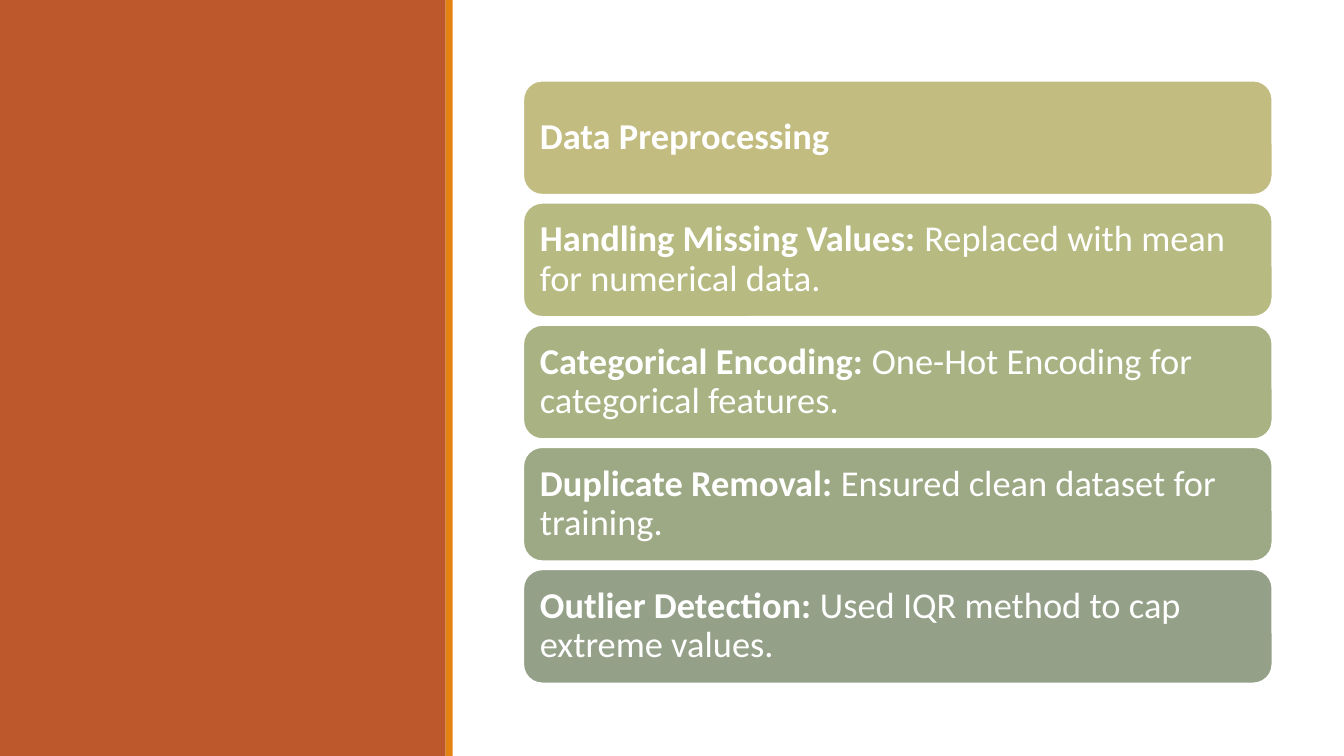
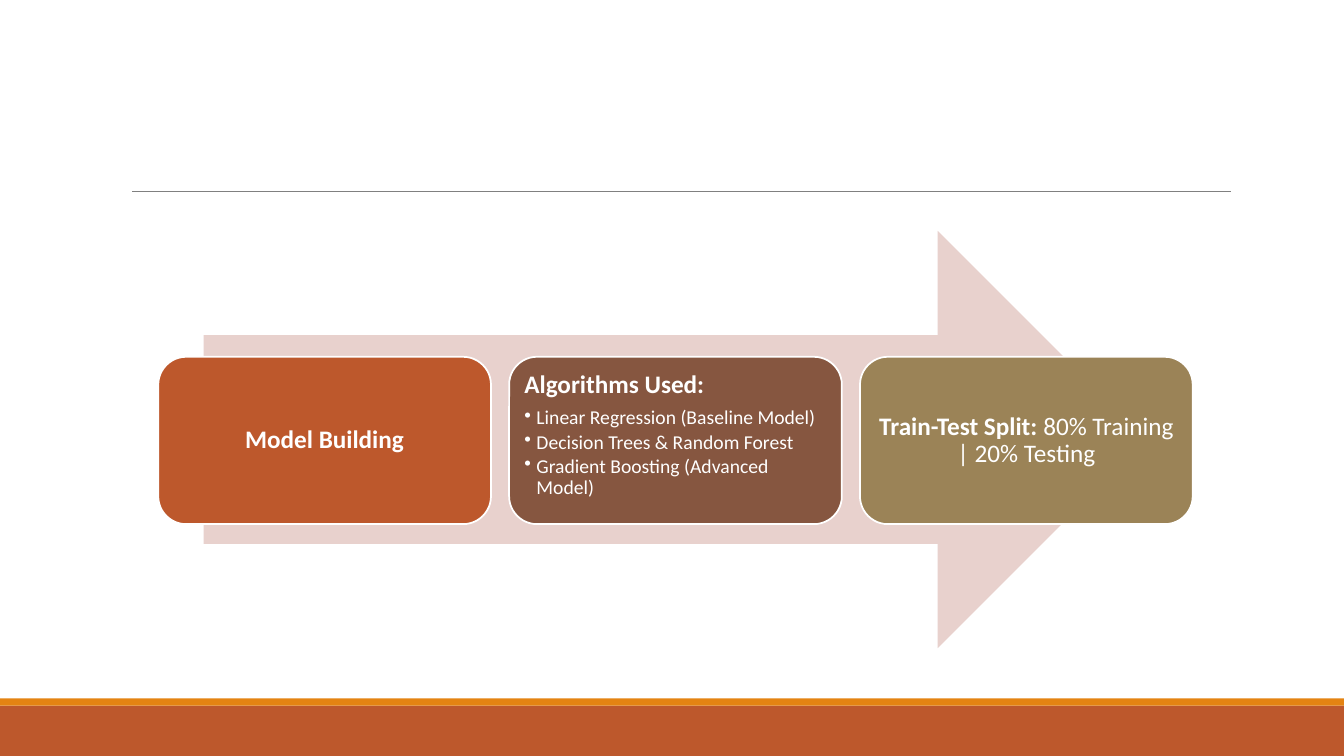
from lxml import etree
from pptx import Presentation
from pptx.dml.color import RGBColor
from pptx.enum.shapes import MSO_CONNECTOR, MSO_SHAPE as Shape
from pptx.enum.text import MSO_ANCHOR as Anchor, PP_ALIGN as Align
from pptx.oxml.ns import qn
from pptx.util import Inches, Pt

WHITE = RGBColor(0xFF, 0xFF, 0xFF)
RUST = RGBColor(0xBD, 0x58, 0x2C)
ORANGE = RGBColor(0xE4, 0x83, 0x12)
BROWN = RGBColor(0x86, 0x56, 0x40)
KHAKI = RGBColor(0x9B, 0x83, 0x57)
BLUSH = RGBColor(0xE8, 0xD1, 0xCD)
GREY = RGBColor(0x80, 0x80, 0x80)
STEP_GREENS = [
    RGBColor(0xC2, 0xBC, 0x80),
    RGBColor(0xB7, 0xBA, 0x81),
    RGBColor(0xA8, 0xB2, 0x83),
    RGBColor(0x9D, 0xA9, 0x85),
    RGBColor(0x94, 0xA0, 0x88),
]

FONT = "Calibri"
WIDTH, HEIGHT = 13.33, 7.5
STRIPE = 0.07


def add_block(page, kind, left, top, width, height, fill, inset=None):
    """Add a filled shape; an inset makes it a white-edged card for text."""
    block = page.shapes.add_shape(
        kind, Inches(left), Inches(top), Inches(width), Inches(height))
    block.shadow.inherit = False
    block.fill.solid()
    block.fill.fore_color.rgb = fill
    if inset is None:
        block.line.fill.background()
        return block
    block.line.color.rgb = WHITE
    block.line.width = Pt(1.25)
    frame = block.text_frame
    frame.word_wrap = True
    frame.vertical_anchor = Anchor.MIDDLE
    frame.margin_left = frame.margin_right = Inches(inset)
    frame.margin_top = frame.margin_bottom = Inches(inset)
    return block


def write(para, size, align, bold_text="", plain_text=""):
    para.alignment = align
    para.line_spacing = 0.9
    for text, bold in ((bold_text, True), (plain_text, False)):
        if text:
            span = para.add_run()
            span.text = text
            span.font.name = FONT
            span.font.size = Pt(size)
            span.font.bold = bold
            span.font.color.rgb = WHITE


deck = Presentation()
deck.slide_width, deck.slide_height = Inches(WIDTH), Inches(HEIGHT)
blank = deck.slide_layouts[6]

# Preprocessing steps: side panel and one column of cards
page = deck.slides.add_slide(blank)
panel_width = 4.42
add_block(page, Shape.RECTANGLE, 0, 0, panel_width, HEIGHT, RUST)
add_block(page, Shape.RECTANGLE, panel_width, 0, STRIPE, HEIGHT, ORANGE)

steps = [
    ("Data Preprocessing", ""),
    ("Handling Missing Values:", " Replaced with mean for numerical data."),
    ("Categorical Encoding:", " One-Hot Encoding for categorical features."),
    ("Duplicate Removal:", " Ensured clean dataset for training."),
    ("Outlier Detection:", " Used IQR method to cap extreme values."),
]
column_top, column_height, row_gap = 0.8, 5.98, 0.08
row_height = (column_height + row_gap) / len(steps) - row_gap
for row, (step, fill) in enumerate(zip(steps, STEP_GREENS)):
    top = column_top + row * (row_height + row_gap)
    card = add_block(page, Shape.ROUNDED_RECTANGLE, 5.19, top, 7.43,
                     row_height, fill, inset=0.11)
    write(card.text_frame.paragraphs[0], 26, Align.LEFT, *step)

# Model building: bottom band, rule and a row of cards on an arrow
page = deck.slides.add_slide(blank)
band_top = 7
add_block(page, Shape.RECTANGLE, 0, band_top, WIDTH, HEIGHT - band_top, RUST)
add_block(page, Shape.RECTANGLE, 0, band_top - STRIPE, WIDTH, STRIPE, ORANGE)

rule = page.shapes.add_connector(
    MSO_CONNECTOR.STRAIGHT, Inches(1.31), Inches(1.9), Inches(12.21), Inches(1.9))
rule.line.color.rgb = GREY
rule.line.width = Pt(0.5)
etree.SubElement(rule._element.spPr, qn("a:effectLst"))

add_block(page, Shape.RIGHT_ARROW, 2.02, 2.29, 9.35, 4.14, BLUSH)

stages = [
    (RUST, "Model Building", "", []),
    (BROWN, "Algorithms Used:", "", [
        "Linear Regression (Baseline Model)",
        "Decision Trees & Random Forest",
        "Gradient Boosting (Advanced Model)",
    ]),
    (KHAKI, "Train-Test Split:", " 80% Training | 20% Testing", []),
]
row_left, row_width, column_gap = 1.57, 10.26, 0.18
column_width = (row_width + column_gap) / len(stages) - column_gap
for column, (fill, heading, detail, bullets) in enumerate(stages):
    left = row_left + column * (column_width + column_gap)
    card = add_block(page, Shape.ROUNDED_RECTANGLE, left, 3.54, column_width,
                     1.66, fill, inset=0.07)
    frame = card.text_frame
    title = frame.paragraphs[0]
    write(title, 18, Align.LEFT if bullets else Align.CENTER, heading, detail)
    if bullets:
        frame.vertical_anchor = Anchor.TOP
        title.space_after = Pt(6.3)
    for bullet in bullets:
        para = frame.add_paragraph()
        write(para, 14, Align.LEFT, plain_text=bullet)
        para.space_after = Pt(2.1)
        props = para._p.get_or_add_pPr()
        props.set("marL", str(Inches(0.12)))
        props.set("indent", str(Inches(-0.12)))
        etree.SubElement(props, qn("a:buChar")).set("char", "•")

deck.save("out.pptx")
